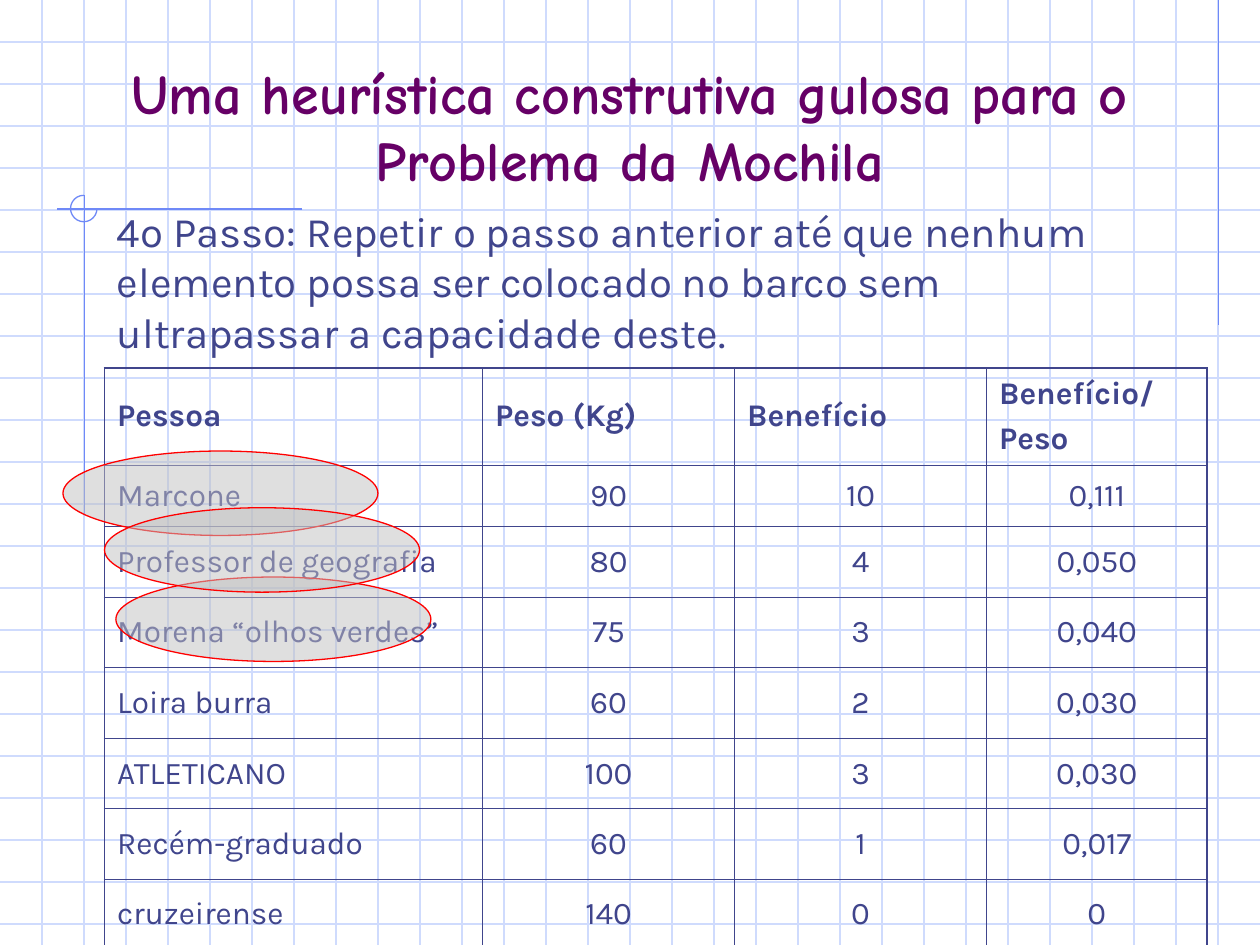
"""Build the slide on a greedy heuristic for the knapsack problem."""
import pptx
import pptx.dml.color
import pptx.enum.shapes
import pptx.enum.text
import pptx.oxml
import pptx.oxml.ns
import pptx.util

Inches = pptx.util.Inches
Pt = pptx.util.Pt
Align = pptx.enum.text.PP_ALIGN
Anchor = pptx.enum.text.MSO_ANCHOR
Shape = pptx.enum.shapes.MSO_SHAPE

HUES = {"grid": "CFDBFD", "guide": "6F89F7", "title": "660066",
        "text": "40458C", "mark": "C0C0C0", "ring": "FF0000"}
FONTS = {
    "title": {"name": "Comic Neue", "size": Pt(32), "bold": True},
    "body": {"name": "Karla", "size": Pt(24), "bold": False},
    "head": {"name": "Karla", "size": Pt(18), "bold": True},
    "cell": {"name": "Karla", "size": Pt(18), "bold": False},
}
FRAME = {"margin_left": Inches(0.1), "margin_right": Inches(0.1),
         "margin_top": Inches(0.05), "margin_bottom": Inches(0.05)}
WIDE, HIGH = 10, 7.5
STEP = 1 / 3
COLS = [3, 2, 2, 1.75]
TALL = [0.77, 0.49] + [0.56] * 5 + [0.55]
ROWS = [
    ["Pessoa", "Peso (Kg)", "Benefício", "Benefício/\nPeso"],
    ["Marcone", "90", "10", "0,111"],
    ["Professor de geografia", "80", "4", "0,050"],
    ["Morena “olhos verdes”", "75", "3", "0,040"],
    ["Loira burra", "60", "2", "0,030"],
    ["ATLETICANO", "100", "3", "0,030"],
    ["Recém-graduado", "60", "1", "0,017"],
    ["cruzeirense", "140", "0", "0"],
]


def tint(name):
    """Return the named colour."""
    return pptx.dml.color.RGBColor.from_string(HUES[name])


def apply(item, form):
    """Set each format value on the item."""
    for key, value in form.items():
        setattr(item, key, value)


class Deck:
    """Hold the style and the current slide."""

    def __init__(self):
        """Start a deck with one titled slide."""
        self.show = pptx.Presentation()
        apply(self.show, {"slide_width": Inches(WIDE), "slide_height": Inches(HIGH)})
        self.slide = self.show.slides.add_slide(self.show.slide_layouts[5])
        self.shapes = self.slide.shapes

    def fill(self, frame, text, style, hue="text", align=Align.LEFT):
        """Fill a text frame, one paragraph a line."""
        frame.text = text
        for rank, para in enumerate(frame.paragraphs):
            apply(para, {"alignment": align, "space_before": Pt(4.5 if rank else 0)})
            apply(para.font, FONTS[style])
            para.font.color.rgb = tint(hue)

    def line(self, start, end, hue):
        """Draw a thin straight line."""
        ends = [Inches(value) for value in (*start, *end)]
        line = self.shapes.add_connector(pptx.enum.shapes.MSO_CONNECTOR.STRAIGHT, *ends)
        line.line.color.rgb = tint(hue)
        line.line.width = Pt(0.75)
        line._element.spPr.append(pptx.oxml.parse_xml(
            f"<a:effectLst {pptx.oxml.ns.nsdecls('a')}/>"))

    def shape(self, kind, box, hue):
        """Draw an unfilled outline of a preset kind."""
        shape = self.shapes.add_shape(kind, *map(Inches, box))
        shape.shadow.inherit = False
        shape.fill.background()
        shape.line.color.rgb = tint(hue)
        shape.line.width = Pt(0.75)
        return shape

    def arc(self, box):
        """Draw a three-quarter ring that is open at the top right."""
        ring = self.shape(Shape.ARC, box, "guide")
        ring.adjustments[0], ring.adjustments[1] = 0, 162

    def mark(self, left, top):
        """Cover a chosen row with a half-clear ellipse."""
        mark = self.shape(Shape.OVAL, (left, top, 2.5, 0.67), "ring")
        mark.fill.solid()
        mark.fill.fore_color.rgb = tint("mark")
        tone = mark._element.spPr.find(".//" + pptx.oxml.ns.qn("a:srgbClr"))
        tone.append(pptx.oxml.parse_xml(
            f"<a:alpha {pptx.oxml.ns.nsdecls('a')} val='50000'/>"))

    def title(self, text, box):
        """Place the title above the grid."""
        title = self.shapes.title
        apply(title, dict(zip(("left", "top", "width", "height"), map(Inches, box))))
        apply(title.text_frame, {**FRAME, "word_wrap": True,
                                 "vertical_anchor": Anchor.BOTTOM,
                                 "auto_size": pptx.enum.text.MSO_AUTO_SIZE.NONE})
        self.fill(title.text_frame, text, "title", "title", Align.CENTER)
        self.shapes._spTree.append(title._element)

    def text(self, text, box):
        """Place a wrapped text box."""
        frame = self.shapes.add_textbox(*map(Inches, box)).text_frame
        apply(frame, {**FRAME, "word_wrap": True})
        self.fill(frame, text, "body")

    def edge(self, cell, side, width):
        """Draw one border of a cell."""
        cell._tc.get_or_add_tcPr().append(pptx.oxml.parse_xml(
            f"<a:ln{side} {pptx.oxml.ns.nsdecls('a')} w='{int(Pt(width))}'><a:solidFill>"
            f"<a:srgbClr val='{HUES['text']}'/></a:solidFill></a:ln{side}>"))

    def table(self, box):
        """Place the table with a heavier outer frame."""
        grid = self.shapes.add_table(len(ROWS), len(COLS), *map(Inches, box)).table
        apply(grid, {"first_row": False, "horz_banding": False})
        for col, width in zip(grid.columns, COLS):
            col.width = Inches(width)
        for row, height in zip(grid.rows, TALL):
            row.height = Inches(height)
        for y, row in enumerate(ROWS):
            for x, text in enumerate(row):
                cell = grid.cell(y, x)
                outer = {"L": x == 0, "R": x == len(COLS) - 1,
                         "T": y == 0, "B": y == len(ROWS) - 1}
                for side, heavy in outer.items():
                    self.edge(cell, side, 1.08 if heavy else 0.45)
                cell.fill.background()
                apply(cell, {**FRAME, "vertical_anchor": Anchor.MIDDLE})
                self.fill(cell.text_frame, text, "cell" if y else "head",
                          align=Align.CENTER if x and y else Align.LEFT)


def main():
    """Compose and save the slide."""
    deck = Deck()
    for rank in range(1, 23):
        deck.line((0, rank * STEP), (WIDE, rank * STEP), "grid")
    for rank in range(1, 30):
        deck.line((rank * STEP, 0), (rank * STEP, HIGH), "grid")
    deck.line((9.67, 0), (9.67, 2.58), "guide")
    deck.line((2.4, 1.66), (0.45, 1.66), "guide")
    deck.line((0.67, 1.55), (0.67, 4.09), "guide")
    deck.arc((0.56, 1.55, 0.21, 0.21))
    deck.title("Uma heurística construtiva gulosa para o Problema da Mochila",
               (0.75, 0.92, 8.5, 0.66))
    deck.table((0.83, 2.92, sum(COLS), sum(TALL)))
    deck.text("4º Passo: Repetir o passo anterior até que nenhum elemento possa ser "
              "colocado no barco sem ultrapassar a capacidade deste.",
              (0.83, 1.58, 8.08, 1.3))
    for spot in ((0.5, 3.58), (0.92, 4.58), (0.83, 4.03)):
        deck.mark(*spot)
    deck.show.save("out.pptx")


if __name__ == "__main__":
    main()
